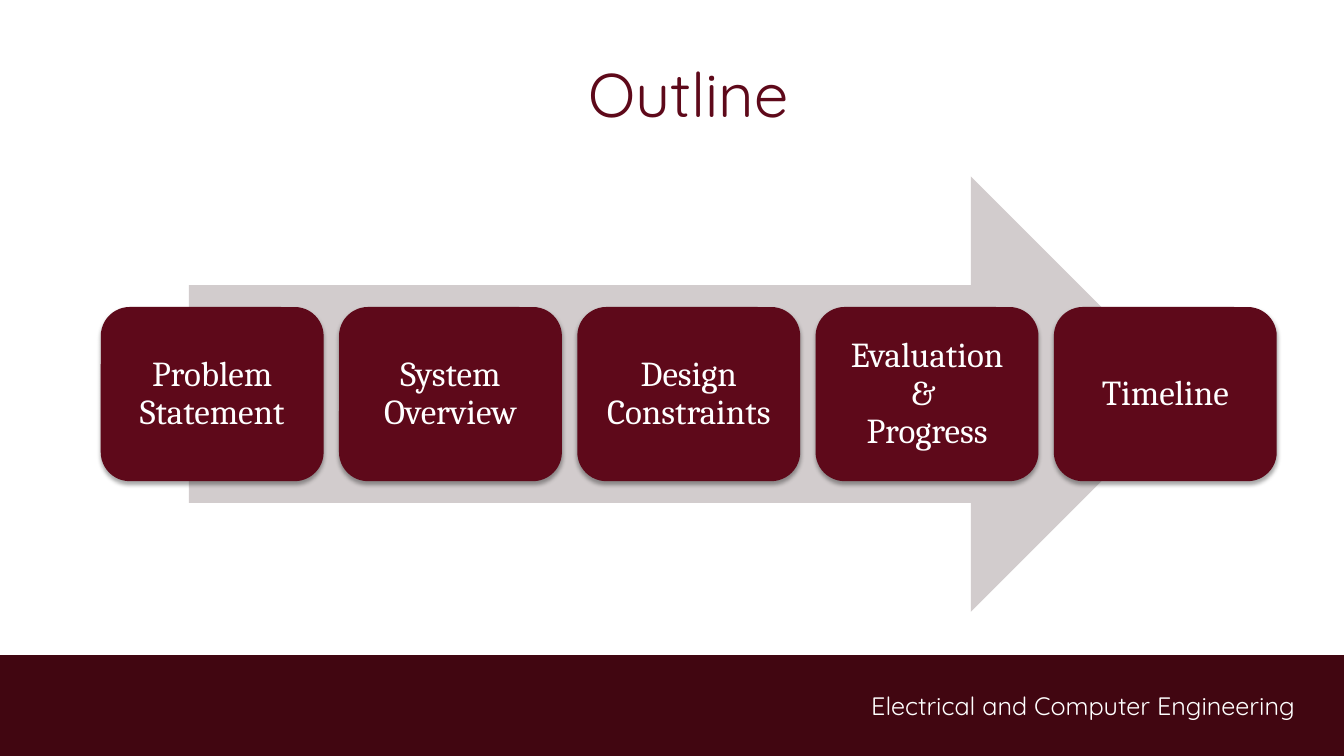
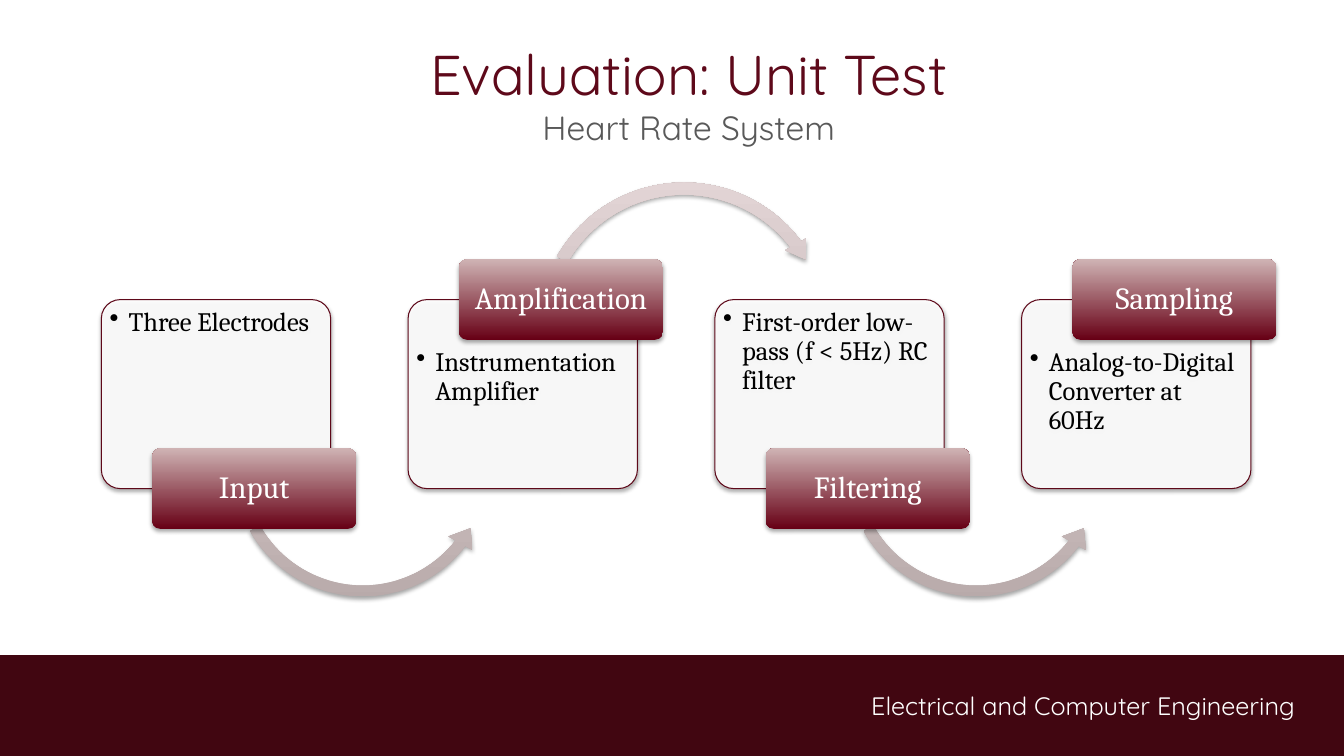
from lxml.etree import SubElement
from pptx import Presentation
from pptx.dml.color import RGBColor
from pptx.enum.shapes import MSO_SHAPE as Shape
from pptx.enum.text import MSO_ANCHOR as Anchor, PP_ALIGN as Align
from pptx.oxml.ns import qn
from pptx.util import Pt

WHITE = RGBColor(0xFF, 0xFF, 0xFF)
BLACK = RGBColor(0x00, 0x00, 0x00)
GRAY = RGBColor(0x59, 0x59, 0x59)
MAROON = RGBColor(0x5E, 0x09, 0x1A)
DARK_MAROON = RGBColor(0x41, 0x06, 0x11)
PALE_GRAY = RGBColor(0xD2, 0xCC, 0xCD)
BADGE_COLORS = RGBColor(0x67, 0x00, 0x15), RGBColor(0xCF, 0xB3, 0xB4)
ARC_COLORS = RGBColor(0xB8, 0xAA, 0xAA), RGBColor(0xE3, 0xD5, 0xD6)

HEADING_FONT = "Quicksand"
BODY_FONT = "Cambria"
PAGE_WIDTH, PAGE_HEIGHT = 960, 540
BAND_HEIGHT = 72


class Deck:
    def __init__(self):
        self.deck = Presentation()
        self.deck.slide_width = Pt(PAGE_WIDTH)
        self.deck.slide_height = Pt(PAGE_HEIGHT)
        self.page = None

    def add_page(self, title, size, subtitle=None):
        self.page = self.deck.slides.add_slide(self.deck.slide_layouts[5])
        box = self.page.shapes.title
        box.left, box.top, box.width, box.height = Pt(72), Pt(21.6), Pt(840), Pt(90)
        frame = box.text_frame
        frame.text = title
        frame.vertical_anchor = Anchor.MIDDLE
        self.style_text(frame.paragraphs[0], HEADING_FONT, size, MAROON, Align.CENTER)
        if subtitle:
            para = frame.add_paragraph()
            para.text = subtitle
            self.style_text(para, HEADING_FONT, 24, GRAY, Align.CENTER)
        self.band()

    def band(self):
        band = self.shape(Shape.RECTANGLE, 0, PAGE_HEIGHT - BAND_HEIGHT, PAGE_WIDTH, BAND_HEIGHT, DARK_MAROON)
        para = self.put_text(band, "Electrical and Computer Engineering", (0, 0, 35, 0))
        self.style_text(para, HEADING_FONT, 18, WHITE, Align.RIGHT)

    def style_text(self, para, font, size, color, align):
        para.alignment = align
        for span in para.runs:
            span.font.name = font
            span.font.size = Pt(size)
            span.font.color.rgb = color

    def put_text(self, box, text, insets, anchor=Anchor.MIDDLE):
        frame = box.text_frame
        frame.word_wrap = True
        frame.vertical_anchor = anchor
        frame.margin_left, frame.margin_top, frame.margin_right, frame.margin_bottom = map(Pt, insets)
        para = frame.paragraphs[0]
        para.text = text
        return para

    def shape(self, kind, left, top, width, height, fill, adjust=(), shadow=False):
        box = self.page.shapes.add_shape(kind, Pt(left), Pt(top), Pt(width), Pt(height))
        for index, value in enumerate(adjust):
            box.adjustments[index] = value
        if isinstance(fill, RGBColor):
            box.fill.solid()
            box.fill.fore_color.rgb = fill
        else:
            box.fill.gradient()
            box.fill.gradient_angle = 90
            for stop, color in zip(box.fill.gradient_stops, fill):
                stop.color.rgb = color
        box.line.fill.background()
        box.shadow.inherit = False
        if shadow:
            self.cast_shadow(box)
        return box

    def cast_shadow(self, box):
        effects = box._element.spPr.find(qn("a:effectLst"))
        outer = SubElement(effects, qn("a:outerShdw"), blurRad=str(Pt(3.1)), dist=str(Pt(1.8)),
                           dir="5400000", rotWithShape="0")
        color = SubElement(outer, qn("a:srgbClr"), val="000000")
        SubElement(color, qn("a:alpha"), val="35000")

    def label(self, left, top, width, height, text, size, fill, insets, adjust=()):
        box = self.shape(Shape.ROUNDED_RECTANGLE, left, top, width, height, fill, adjust, shadow=True)
        para = self.put_text(box, text, insets)
        para.line_spacing = 0.9
        self.style_text(para, BODY_FONT, size, WHITE, Align.CENTER)

    def card(self, left, top, width, height, text, top_inset):
        box = self.shape(Shape.ROUNDED_RECTANGLE, left, top, width, height, WHITE, (0.1,), shadow=True)
        box.line.color.rgb = MAROON
        box.line.width = Pt(0.75)
        fill_color = box._element.spPr.find(qn("a:solidFill")).find(qn("a:srgbClr"))
        SubElement(fill_color, qn("a:alpha"), val="90000")
        para = self.put_text(box, text, (2, top_inset, 1.5, 2), Anchor.TOP)
        para.line_spacing = 0.9
        properties = para._p.get_or_add_pPr()
        properties.set("marL", str(Pt(13.5)))
        properties.set("indent", str(-Pt(13.5)))
        SubElement(properties, qn("a:buChar"), char="•")
        self.style_text(para, BODY_FONT, 19, BLACK, Align.LEFT)

    def save(self):
        self.deck.save("out.pptx")


def add_outline(deck):
    deck.add_page("Outline", 44)
    deck.shape(Shape.RIGHT_ARROW, 135, 126, 714, 311, PALE_GRAY)
    topics = ["Problem Statement", "System Overview", "Design Constraints",
              "Evaluation\n& \nProgress", "Timeline"]
    width, gap = 159.2, 11
    for index, topic in enumerate(topics):
        deck.label(72 + index * (width + gap), 219.3, width, 124.4, topic, 25, MAROON, (7.2,) * 4)


def add_unit_test(deck):
    deck.add_page("Evaluation: Unit Test", 40, "Heart Rate System")
    steps = [("Input", "Three Electrodes"),
             ("Amplification", "Instrumentation Amplifier"),
             ("Filtering", "First-order low-pass (f < 5Hz) RC filter"),
             ("Sampling", "Analog-to-Digital Converter at 60Hz")]
    lower_arc = Shape.LEFT_CIRCULAR_ARROW, 235.4, 196.6, (0.04, 4.98, 22.74, 90.25, 0.05)
    upper_arc = Shape.CIRCULAR_ARROW, 126, 217.4, (0.04, 4.46, 193.78, 125.76, 0.04)
    card_top, card_width, card_height = 214, 163.8, 135
    badge_width, badge_height = 145.6, 57.6
    for index, (name, detail) in enumerate(steps):
        left = 72.4 + index * 219.1
        raised = index % 2 == 1
        deck.card(left, card_top, card_width, card_height, detail, 31.3 if raised else 2.5)
        if index < len(steps) - 1:
            kind, arc_top, size, adjust = upper_arc if raised else lower_arc
            deck.shape(kind, left + 88.4, arc_top, size, size, ARC_COLORS, adjust, shadow=True)
        badge_middle = card_top if raised else card_top + card_height
        deck.label(left + 36.4, badge_middle - badge_height / 2, badge_width, badge_height,
                   name, 22, BADGE_COLORS, (3.6, 2.2, 3.6, 2.2), (0.1,))


def main():
    deck = Deck()
    add_outline(deck)
    add_unit_test(deck)
    deck.save()


if __name__ == "__main__":
    main()
